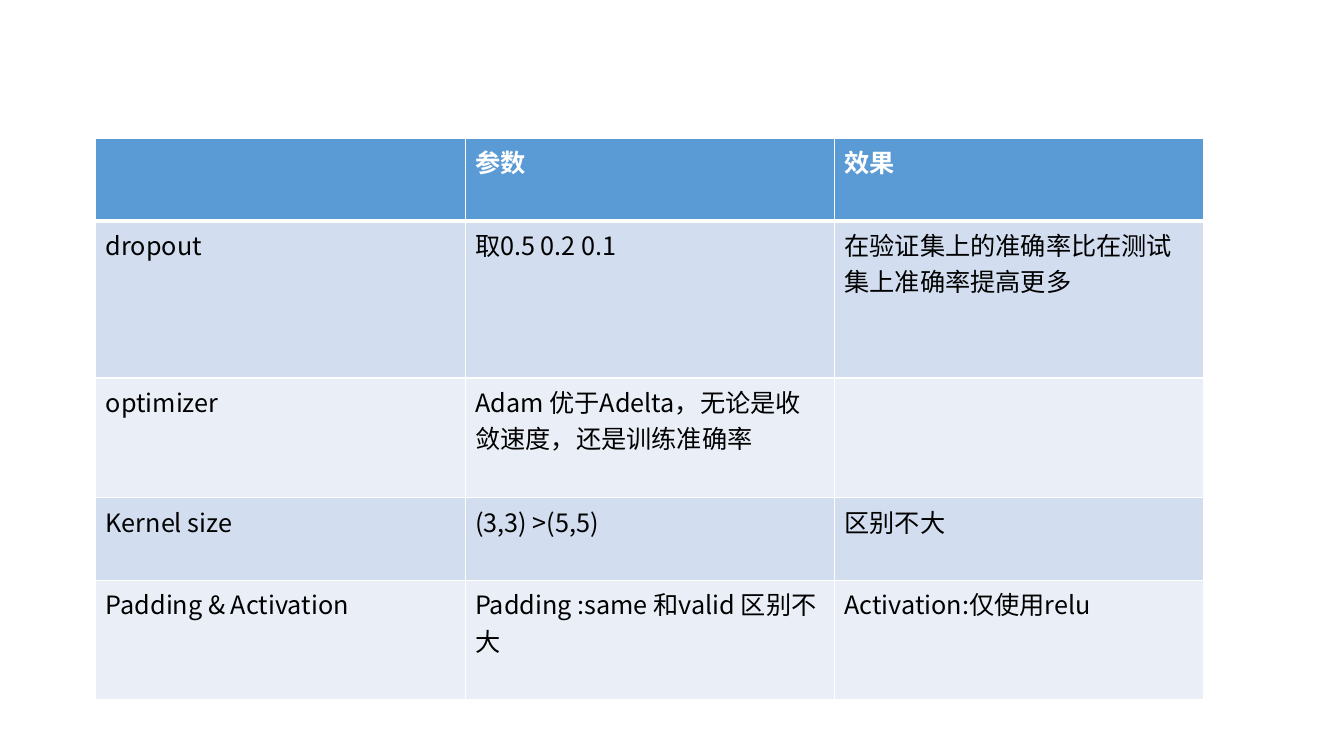
from lxml.etree import SubElement
from pptx import Presentation
from pptx.dml.color import RGBColor
from pptx.oxml.ns import qn
from pptx.util import Inches, Pt

COLORS = {
    "header": "5B9BD5",
    "band_dark": "D2DEEF",
    "band_light": "EAEFF7",
    "border": "FFFFFF",
    "header_text": "FFFFFF",
    "body_text": "000000",
}
FONT = "Noto Sans CJK SC"

ROWS = [
    ["", "参数", "效果"],
    ["dropout", "取0.5 0.2 0.1", "在验证集上的准确率比在测试集上准确率提高更多"],
    ["optimizer", "Adam 优于Adelta，无论是收敛速度，还是训练准确率", ""],
    ["Kernel size", "(3,3) >(5,5)", "区别不大"],
    ["Padding & Activation", "Padding :same 和valid 区别不大", "Activation:仅使用relu"],
]
ROW_HEIGHTS = [0.82, 1.56, 1.19, 0.82, 1.18]


def write_text(text_frame, text, size=18, color="body_text", bold=False):
    paragraph = text_frame.paragraphs[0]
    if not text:
        paragraph.font.size = Pt(size)
        return
    run = paragraph.add_run()
    run.text = text
    run.font.name = FONT
    run.font.size = Pt(size)
    run.font.bold = bold
    run.font.color.rgb = RGBColor.from_string(COLORS[color])
    # East Asian characters use the same typeface
    SubElement(run.font._element, qn("a:ea"), typeface=FONT)


def set_borders(cell, bottom=1, top=1):
    properties = cell._tc.get_or_add_tcPr()
    widths = {"a:lnL": 1, "a:lnR": 1, "a:lnT": top, "a:lnB": bottom}
    for position, (side, width) in enumerate(widths.items()):
        line = SubElement(properties, qn(side), w=str(Pt(width)))
        fill = SubElement(line, qn("a:solidFill"))
        SubElement(fill, qn("a:srgbClr"), val=COLORS["border"])
        # Borders come before the cell fill
        properties.insert(position, line)


def add_parameter_table(slide, left, top, width, row_heights):
    frame = slide.shapes.add_table(
        len(ROWS), len(ROWS[0]), Inches(left), Inches(top),
        Inches(width), Inches(sum(row_heights)))
    table = frame.table
    for column in table.columns:
        column.width = Inches(width / len(ROWS[0]))
    for row_index, (texts, height) in enumerate(zip(ROWS, row_heights)):
        table.rows[row_index].height = Inches(height)
        is_header = row_index == 0
        band = "band_dark" if row_index % 2 else "band_light"
        for column_index, text in enumerate(texts):
            cell = table.cell(row_index, column_index)
            cell.fill.solid()
            cell.fill.fore_color.rgb = RGBColor.from_string(
                COLORS["header" if is_header else band])
            # The rule below the header is thicker
            set_borders(cell, bottom=3 if is_header else 1,
                        top=3 if row_index == 1 else 1)
            write_text(cell.text_frame, text, bold=is_header,
                       color="header_text" if is_header else "body_text")


presentation = Presentation()
presentation.slide_width = Inches(13.33)
presentation.slide_height = Inches(7.5)
slide = presentation.slides.add_slide(presentation.slide_layouts[6])
add_parameter_table(slide, 0.95, 1.37, 10.99, ROW_HEIGHTS)
presentation.save("out.pptx")
